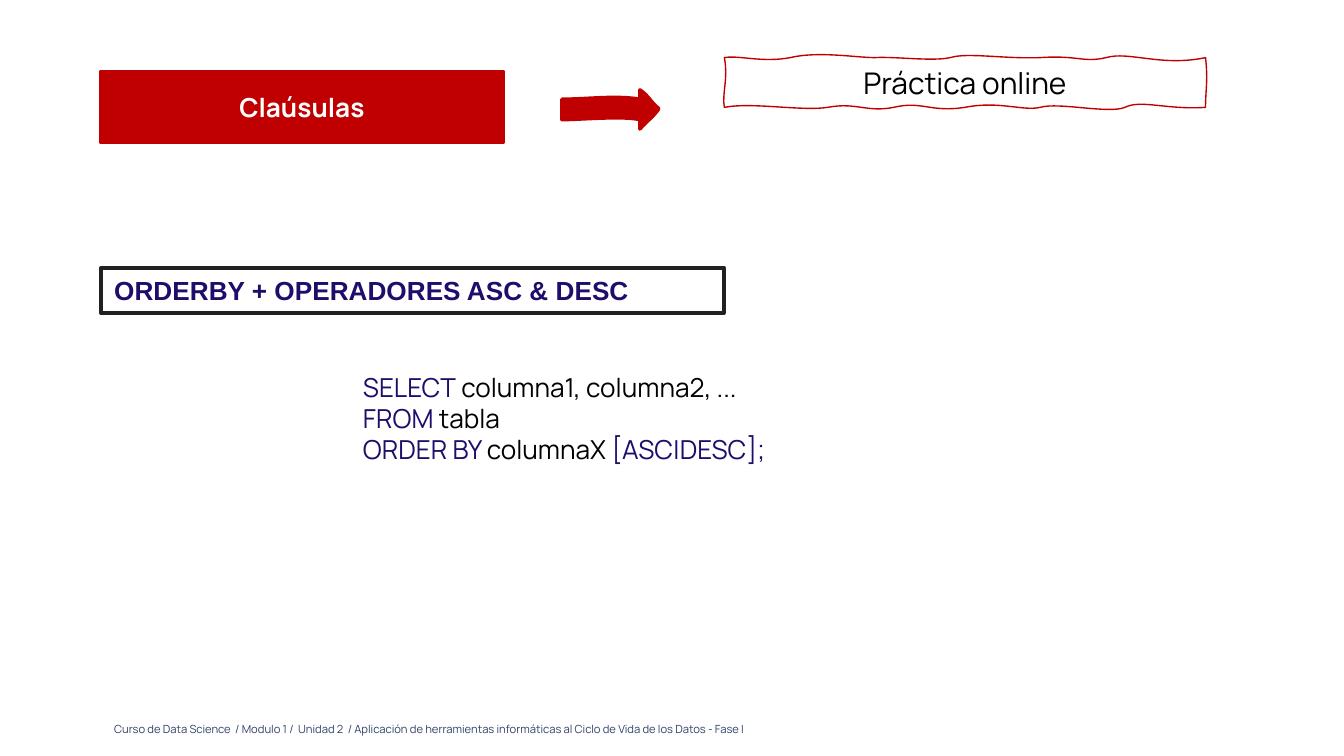
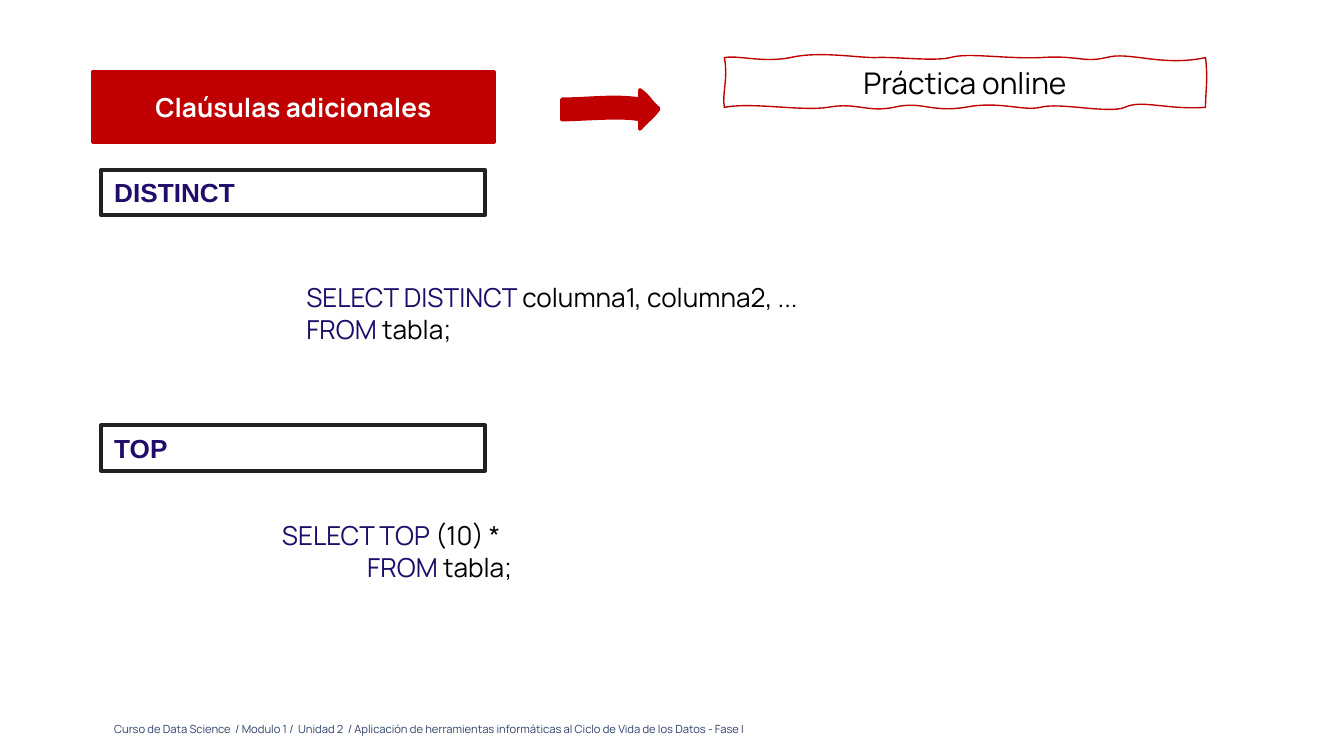
import pptx
import pptx.util
import pptx.dml.color
import pptx.enum.shapes
import pptx.enum.text
import pptx.oxml.ns
from lxml import etree

Cm = pptx.util.Cm
Pt = pptx.util.Pt
RGBColor = pptx.dml.color.RGBColor
ALIGN = pptx.enum.text.PP_ALIGN
ANCHOR = pptx.enum.text.MSO_ANCHOR
AUTO_SIZE = pptx.enum.text.MSO_AUTO_SIZE
qn = pptx.oxml.ns.qn

# Shared colours and fonts
RED = RGBColor(0xC0, 0x00, 0x00)
NAVY = RGBColor(0x20, 0x0C, 0x6A)
SLATE = RGBColor(0x30, 0x42, 0x69)
CHARCOAL = RGBColor(0x21, 0x21, 0x21)
BLACK = RGBColor(0x00, 0x00, 0x00)
WHITE = RGBColor(0xFF, 0xFF, 0xFF)
TEXT_FONT = "Manrope"
HEADING_FONT = "Arial"

COURSE = ("Curso de Data Science  / Modulo 1 /  Unidad 2  / Aplicación de "
          "herramientas informáticas al Ciclo de Vida de los Datos - Fase I")
MARGIN = 1.91

# Hand-drawn outlines: a start point, then Bezier curves (two handles and an end),
# in hundredths of an inch from the top left corner of the element
UNIT = Cm(0.0254)

BANNER_EDGE = ((0, 0), [
    (15, -1, 38, 0, 66, 0), (94, 0, 103, 7, 132, 0), (160, -7, 166, 3, 182, 0),
    (198, -3, 216, 3, 233, 0), (250, -3, 275, 2, 299, 0),
    (303, 14, 293, 31, 299, 53), (278, 59, 261, 47, 245, 53),
    (229, 60, 206, 48, 182, 53), (158, 59, 144, 46, 120, 53),
    (95, 61, 79, 53, 66, 53), (52, 54, 31, 47, 0, 53), (0, 30, 2, 12, 0, 0)])
BANNER_FILL = ((0, 0), [
    (15, -5, 34, 4, 51, 0), (68, -5, 91, 6, 111, 0), (130, -6, 148, 5, 170, 0),
    (193, -5, 211, 6, 224, 0), (237, -6, 279, 2, 299, 0),
    (301, 25, 295, 28, 299, 53), (282, 56, 268, 52, 239, 53),
    (210, 55, 203, 53, 185, 53), (167, 54, 151, 48, 120, 53),
    (88, 59, 91, 53, 66, 53), (41, 54, 18, 51, 0, 53), (-2, 33, 6, 20, 0, 0)])
ARROW_EDGE = ((0, 7), [
    (20, 7, 39, 4, 58, 7), (58, 3, 58, 3, 58, 0), (65, 5, 65, 8, 72, 14),
    (68, 20, 62, 24, 58, 29), (58, 26, 58, 24, 58, 22),
    (45, 19, 14, 22, 0, 22), (0, 17, 0, 11, 0, 7)])
ARROW_FILL = ((0, 7), [
    (20, 7, 41, 6, 58, 7), (58, 5, 58, 1, 58, 0), (61, 4, 66, 9, 72, 14),
    (67, 19, 63, 24, 58, 29), (58, 26, 58, 25, 58, 22),
    (37, 21, 19, 19, 0, 22), (1, 17, 0, 11, 0, 7)])
PRACTICE_EDGE = ((0, 0), [
    (11, -2, 28, 4, 49, 0), (70, -5, 98, 0, 112, 0), (126, -1, 155, 3, 168, 0),
    (181, -4, 207, 1, 235, 0), (263, -2, 267, 4, 284, 0),
    (301, -5, 325, 7, 358, 0), (360, 17, 358, 24, 358, 37),
    (329, 39, 310, 31, 298, 37), (286, 42, 249, 33, 235, 37),
    (222, 40, 205, 32, 179, 37), (153, 41, 147, 32, 126, 37),
    (106, 41, 98, 33, 77, 37), (57, 40, 21, 33, 0, 37), (-2, 27, 3, 16, 0, 0)])


def add_point(parent, x, y):
    etree.SubElement(parent, qn("a:pt"), x=str(x), y=str(y))


def draw_curves(outlines, start, curves, **modes):
    """Add one closed outline of Bezier curves to a list of outlines."""
    ends = [curve[4:] for curve in curves]
    outline = etree.SubElement(outlines, qn("a:path"), w=str(max(x for x, _ in ends)),
                               h=str(max(y for _, y in ends)), **modes)
    add_point(etree.SubElement(outline, qn("a:moveTo")), *start)
    for curve in curves:
        bezier = etree.SubElement(outline, qn("a:cubicBezTo"))
        for k in range(0, 6, 2):
            add_point(bezier, *curve[k:k + 2])
    etree.SubElement(outline, qn("a:close"))


def paint(shape, fill=None, line=None, width=2):
    shape.shadow.inherit = False
    if fill is None:
        shape.fill.background()
    else:
        shape.fill.solid()
        shape.fill.fore_color.rgb = fill
    shape.line.color.rgb = line
    shape.line.width = Pt(width)
    etree.SubElement(shape.element.spPr.find(qn("a:ln")), qn("a:round"))


def add_sketch(slide, left, top, edge, inside=None, width=2):
    """Red hand-drawn outline, filled when the inside has its own curves."""
    start, curves = edge
    builder = slide.shapes.build_freeform(*start, scale=UNIT)
    builder.add_line_segments([curve[4:] for curve in curves], close=True)
    sketch = builder.convert_to_shape(Cm(left), Cm(top))
    outlines = sketch.element.spPr.find(".//" + qn("a:pathLst"))
    outlines.remove(outlines[0])
    if inside:
        draw_curves(outlines, *edge, fill="none")
        draw_curves(outlines, *inside, stroke="0")
    else:
        draw_curves(outlines, *edge)
    paint(sketch, fill=RED if inside else None, line=RED, width=width)
    return sketch


def add_run(paragraph, text, size, colour, font=TEXT_FONT, bold=False):
    run = paragraph.add_run()
    run.text = text
    run.font.name = font
    run.font.size = Pt(size)
    run.font.bold = bold
    run.font.color.rgb = colour


def add_text_box(slide, left, top, width, height):
    frame = slide.shapes.add_textbox(Cm(left), Cm(top), Cm(width), Cm(height)).text_frame
    frame.word_wrap = True
    return frame


def add_label(shape, text, size, colour, align, **style):
    """One line at the top of a box that fits its text."""
    frame = shape.text_frame
    frame.word_wrap = True
    frame.auto_size = AUTO_SIZE.SHAPE_TO_FIT_TEXT
    frame.vertical_anchor = ANCHOR.TOP
    frame.paragraphs[0].alignment = align
    add_run(frame.paragraphs[0], text, size, colour, **style)


def add_title(slide, text, left):
    """Give the title placeholder the outline of the red banner."""
    banner = add_sketch(slide, left, 1.35, BANNER_EDGE, BANNER_FILL)
    title = slide.shapes.title
    title.left, title.top = banner.left, banner.top
    title.width, title.height = banner.width, banner.height
    title.element.spPr.insert(1, banner.element.spPr.find(qn("a:custGeom")))
    paint(title, fill=RED, line=RED)
    # The title takes the place of the banner in the stack
    banner.element.getparent().replace(banner.element, title.element)
    frame = title.text_frame
    frame.auto_size = AUTO_SIZE.NONE
    frame.vertical_anchor = ANCHOR.MIDDLE
    frame.paragraphs[0].alignment = ALIGN.CENTER
    add_run(frame.paragraphs[0], text, 14, WHITE, bold=True)


def add_practice(slide):
    practice = add_sketch(slide, 13.69, 1.09, PRACTICE_EDGE, width=0.75)
    add_label(practice, "Práctica online", 16, BLACK, ALIGN.CENTER)


def add_footer(slide):
    frame = add_text_box(slide, MARGIN, 13.41, 17.12, 0.61)
    frame.margin_top, frame.margin_bottom = Cm(0.25), 0
    add_run(frame.paragraphs[0], COURSE, 6, SLATE)


def add_clause(slide, text, top, width):
    clause = slide.shapes.add_shape(pptx.enum.shapes.MSO_SHAPE.RECTANGLE,
                                    Cm(MARGIN), Cm(top), Cm(width), Cm(0.86))
    paint(clause, fill=WHITE, line=CHARCOAL)
    add_label(clause, text, 14, NAVY, ALIGN.LEFT, font=HEADING_FONT, bold=True)


def add_query(slide, left, top, height, lines, indents=None):
    """SQL lines, each a list of (text, colour) parts."""
    frame = add_text_box(slide, left, top, 12.7, height)
    frame.auto_size = AUTO_SIZE.SHAPE_TO_FIT_TEXT
    for number, parts in enumerate(lines):
        paragraph = frame.add_paragraph() if number else frame.paragraphs[0]
        if indents:
            properties = paragraph._p.get_or_add_pPr()
            properties.set("marL", str(Cm(indents[number])))
            properties.set("indent", "0")
        for text, colour in parts:
            add_run(paragraph, text, 14, colour)


def add_clause_slide(deck, title, title_left, clauses):
    """Footer and arrow, then the clauses with their queries, then the header."""
    slide = deck.slides.add_slide(deck.slide_layouts[5])
    add_footer(slide)
    add_sketch(slide, 10.62, 1.7, ARROW_EDGE, ARROW_FILL)
    for clause, query in clauses:
        add_clause(slide, *clause)
        add_query(slide, *query)
    add_title(slide, title, title_left)
    add_practice(slide)


def main():
    deck = pptx.Presentation()
    deck.slide_width, deck.slide_height = Cm(25.4), Cm(14.29)

    # Slide 1: ordering
    order_query = [
        [("SELECT", NAVY), (" columna1, columna2, ...", BLACK)],
        [("FROM", NAVY), (" tabla", BLACK)],
        [("ORDER BY ", NAVY), ("columnaX ", BLACK), ("[ASC|DESC];", NAVY)]]
    add_clause_slide(deck, "Claúsulas", MARGIN, [
        (("ORDERBY + OPERADORES ASC & DESC", 5.06, 11.77),
         (6.61, 6.89, 2.06, order_query))])

    # Slide 2: distinct values and first rows
    distinct_query = [
        [("SELECT DISTINCT ", NAVY), ("columna1, columna2, ...", BLACK)],
        [("FROM", NAVY), (" tabla;", BLACK)]]
    top_query = [
        [("SELECT TOP ", NAVY), ("(10) *", BLACK)],
        [("FROM ", NAVY), ("tabla;", BLACK)]]
    add_clause_slide(deck, "Claúsulas adicionales", 1.75, [
        (("DISTINCT", 3.21, 7.26), (5.54, 5.2, 1.45, distinct_query)),
        (("TOP", 8.04, 7.26), (1.27, 9.7, 1.45, top_query, [3.81, 5.42]))])

    deck.save("out.pptx")


if __name__ == "__main__":
    main()
